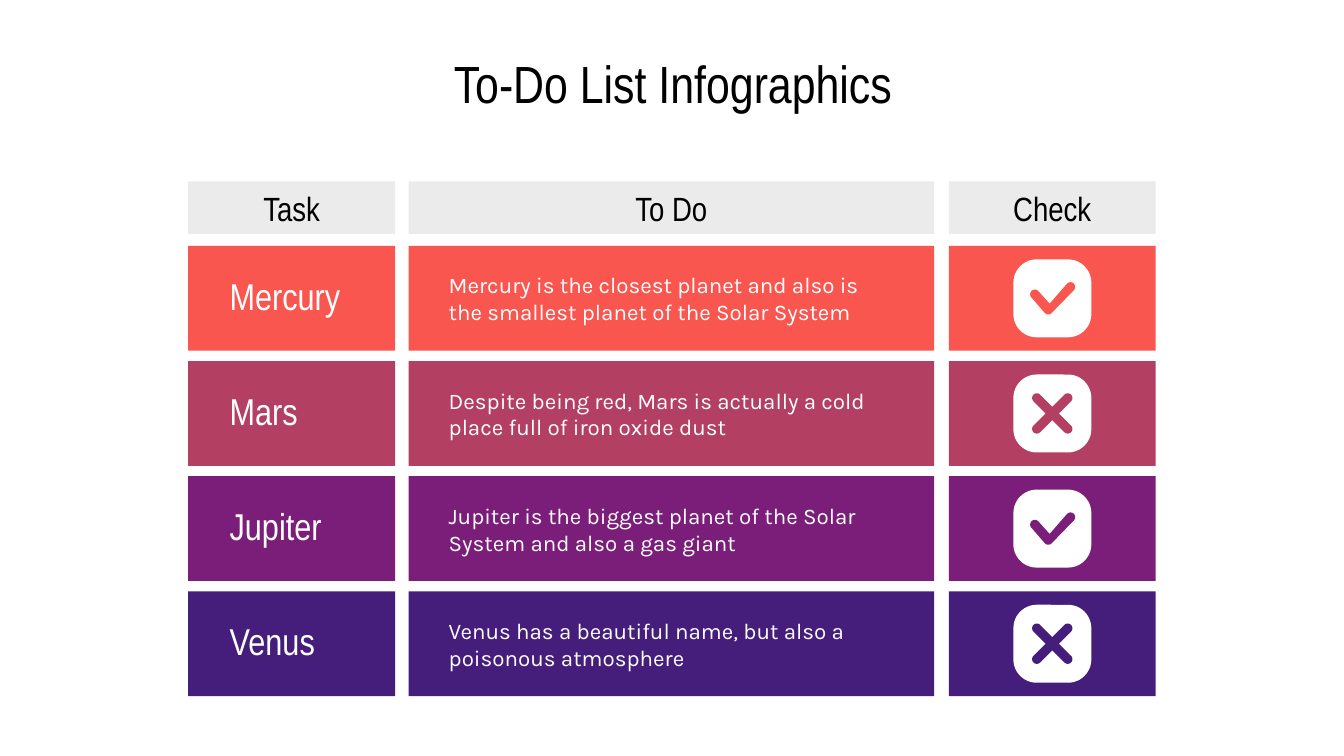
from math import cos, sin, radians
from pptx import Presentation
from pptx.dml.color import RGBColor as Rgb
from pptx.enum.shapes import MSO_SHAPE as Kind
from pptx.enum.text import MSO_ANCHOR as Anchor, PP_ALIGN as Align
from pptx.util import Inches, Pt

# Content
TITLE = "To-Do List Infographics"
HEADS = ["Task", "To Do", "Check"]
ROWS = [
    ("Mercury", "Mercury is the closest planet and also is the smallest planet of the Solar System", "tick"),
    ("Mars", "Despite being red, Mars is actually a cold place full of iron oxide dust", "cross"),
    ("Jupiter", "Jupiter is the biggest planet of the Solar System and also a gas giant", "tick"),
    ("Venus", "Venus has a beautiful name, but also a poisonous atmosphere", "cross"),
]

# Theme
THEME = {
    "rows": ["F9564F", "B33F62", "7B1E7A", "451E7B"],
    "head": "EBEBEB", "ink": "000000", "white": "FFFFFF",
    "title": {"name": "Arial Narrow", "size": Pt(28)},
    "label": {"name": "Arial Narrow", "size": Pt(18)},
    "task": {"name": "Arial Narrow", "size": Pt(20)},
    "body": {"name": "Karla", "size": Pt(12)},
}

# Grid, in inches
WIDE = 10
HIGH = WIDE * 9 / 16
COLS = [(1.4, 1.54), (3.04, 3.91), (7.06, 1.54)]
HEAD_Y, HEAD_H = 1.35, 0.39
ROW_Y, ROW_H, STEP = 1.83, 0.78, 2.57 / 3
TILE, PEN = 0.58, 0.035

# Marks: arcs around the tile centre as x, y, radius, first and last angle
ARM = 0.115
MARKS = {
    "tick": [(-0.13, -0.03, PEN, -40, -220), (-0.03, 0.085, PEN, 140, 44),
             (0.135, -0.085, PEN, 44, -136), (-0.02, 0.04, 0, 0, 0)],
    "cross": [arc for turn in (45, 135, 225, 315) for arc in (
        (ARM * 2 ** 0.5 * cos(radians(turn)), ARM * 2 ** 0.5 * sin(radians(turn)),
         PEN, turn - 90, turn + 90),
        (0, 0, PEN * 2 ** 0.5, turn + 45, turn + 45))],
}


def paint(shape, color):
    shape.shadow.inherit = False
    shape.fill.solid()
    shape.fill.fore_color.rgb = Rgb.from_string(color)
    shape.line.fill.background()


def box(parts, kind, area, color):
    shape = parts.add_shape(kind, *map(Inches, area))
    paint(shape, color)
    return shape


def write(parts, text, area, style, color, align=Align.LEFT):
    frame = parts.add_textbox(*map(Inches, area)).text_frame
    form = {"word_wrap": True, "vertical_anchor": Anchor.MIDDLE}
    form.update({f"margin_{side}": Inches(0.1) for side in ("left", "right", "top", "bottom")})
    for key, val in form.items():
        setattr(frame, key, val)
    line = frame.paragraphs[0]
    line.alignment = align
    run = line.add_run()
    run.text = text
    for key, val in THEME[style].items():
        setattr(run.font, key, val)
    run.font.color.rgb = Rgb.from_string(color)


def draw(parts, mark, mid_x, mid_y, color):
    dots = []
    for x, y, size, first, last in MARKS[mark]:
        count = 12 if first != last else 0
        for i in range(count + 1):
            turn = radians(first + (last - first) * i / max(count, 1))
            dots.append((Inches(mid_x + x + size * cos(turn)),
                         Inches(mid_y + y + size * sin(turn))))
    path = parts.build_freeform(*dots[0])
    path.add_line_segments(dots[1:], close=True)
    paint(path.convert_to_shape(), color)


def main():
    deck = Presentation()
    deck.slide_width, deck.slide_height = Inches(WIDE), Inches(HIGH)
    slide = deck.slides.add_slide(deck.slide_layouts[6])

    # Title
    write(slide.shapes, TITLE, (0.78, 0.35, 8.45, 0.53), "title", THEME["ink"], Align.CENTER)

    # Column heads
    heads = slide.shapes.add_group_shape().shapes
    for text, (x, wide) in zip(HEADS, COLS):
        box(heads, Kind.RECTANGLE, (x, HEAD_Y, wide, HEAD_H), THEME["head"])
        write(heads, text, (x + wide / 2 - 0.67, HEAD_Y, 1.34, 0.4),
              "label", THEME["ink"], Align.CENTER)

    # Task rows
    white = THEME["white"]
    mid_x = COLS[2][0] + COLS[2][1] / 2
    for i, ((task, note, mark), color) in enumerate(zip(ROWS, THEME["rows"])):
        y = ROW_Y + i * STEP
        mid_y = y + ROW_H / 2
        row = slide.shapes.add_group_shape().shapes
        for x, wide in COLS:
            box(row, Kind.RECTANGLE, (x, y, wide, ROW_H), color)
        write(row, task, (COLS[0][0] + 0.21, y + 0.17, 1.12, 0.4), "task", white)
        write(row, note, (COLS[1][0] + 0.2, y + 0.1, 3.52, 0.58), "body", white)
        tile = box(row, Kind.ROUNDED_RECTANGLE,
                   (mid_x - TILE / 2, mid_y - TILE / 2, TILE, TILE), white)
        tile.adjustments[0] = 0.3
        draw(row, mark, mid_x, mid_y, color)

    deck.save("out.pptx")


if __name__ == "__main__":
    main()
